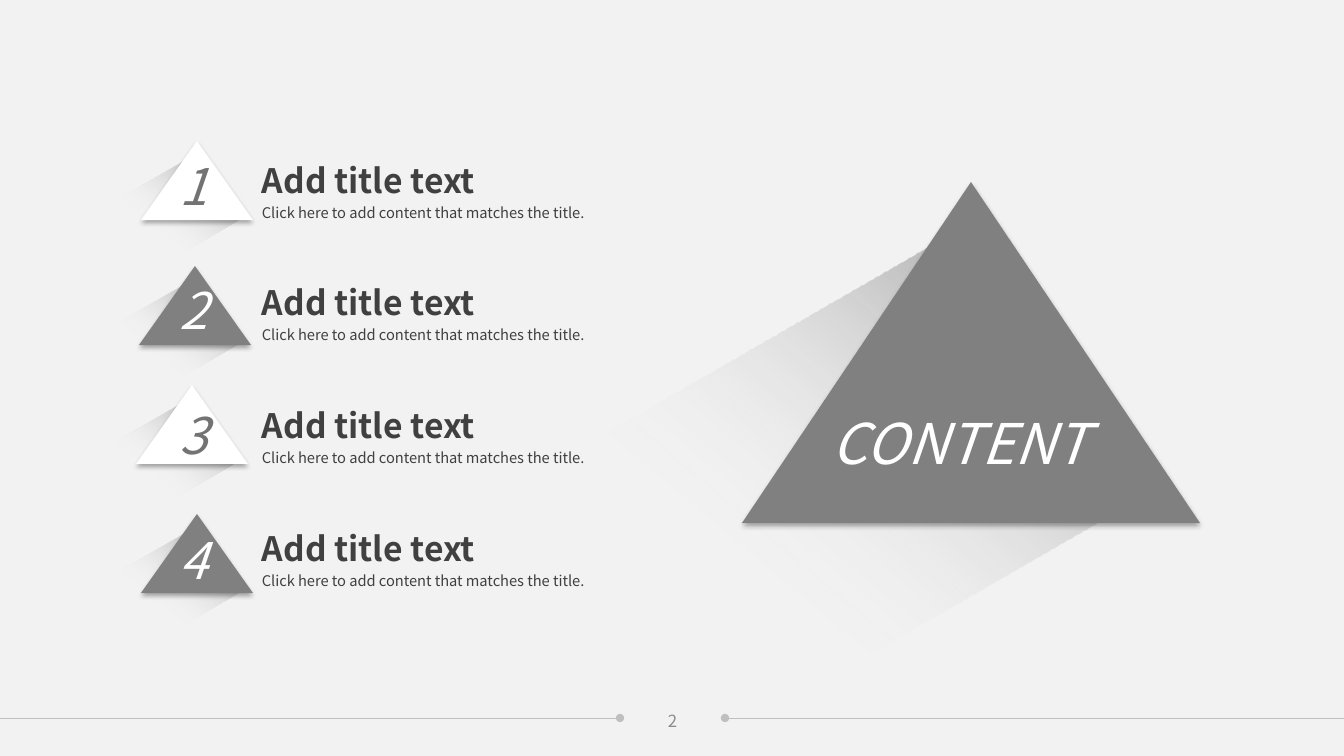
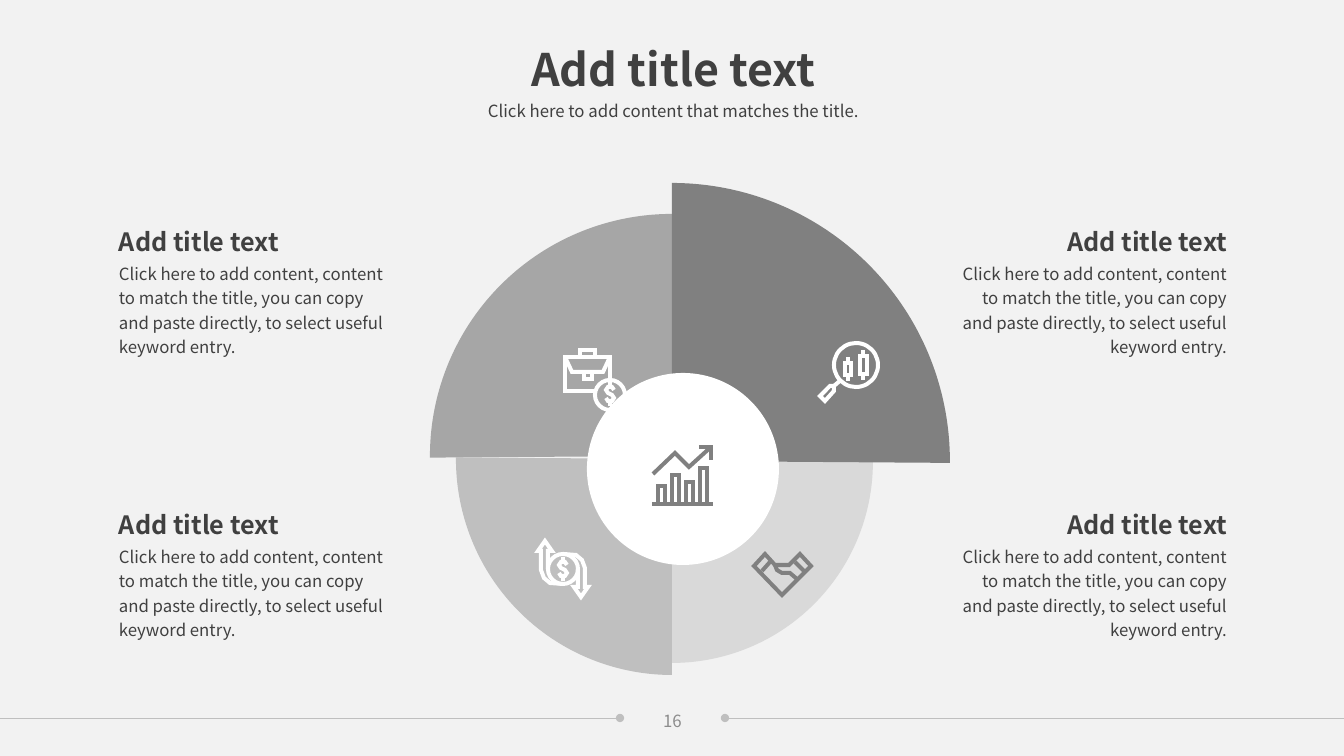
from lxml.etree import SubElement
from pptx import Presentation
from pptx.dml.color import RGBColor
from pptx.enum.shapes import MSO_CONNECTOR as Connector, MSO_SHAPE as Preset
from pptx.enum.text import MSO_ANCHOR as Anchor, MSO_AUTO_SIZE as AutoSize, PP_ALIGN as Align
from pptx.oxml.ns import qn
from pptx.util import Emu, Pt

SCALE = 914400 / 100.8
WIDTH, HEIGHT = 1344, 756
FONT = "Noto Sans CJK SC"
INK, GRAY, WHITE, PAPER = "404040", "808080", "FFFFFF", "F2F2F2"
RULE, PAGE_INK, NUMBER_INK = "BFBFBF", "8C8C8C", "737373"

TITLE = "Add title text"
CAPTION = "Click here to add content that matches the title."
BODY = ("Click here to add content, content to match the title, you can copy "
        "and paste directly, to select useful keyword entry.")

FOOTER_RULES = [(0, 620), (WIDTH, 725)]

AGENDA = [
    ("1", TITLE, CAPTION, (141, 141), WHITE, NUMBER_INK),
    ("2", TITLE, CAPTION, (139, 266), GRAY, WHITE),
    ("3", TITLE, CAPTION, (136, 385), WHITE, NUMBER_INK),
    ("4", TITLE, CAPTION, (141, 514), GRAY, WHITE),
]

QUADRANTS = [
    (462, 201, 359.6, 90, "D9D9D9"),
    (459, 216, 90, 180.4, "BFBFBF"),
    (456, 242, 179.6, 270, "A6A6A6"),
    (461, 278, 270, 0.4, GRAY),
]

NOTES = [
    (109, 215, Align.LEFT, TITLE, BODY),
    (109, 498, Align.LEFT, TITLE, BODY),
    (952, 215, Align.RIGHT, TITLE, BODY),
    (952, 498, Align.RIGHT, TITLE, BODY),
]


def dollar(x, y):
    curve = [(4, -4), (2, -7), (-2, -7), (-4, -4), (-2, -1),
             (2, 1), (4, 4), (2, 7), (-2, 7), (-4, 4)]
    strokes = [curve, [(0, -12), (0, -7)], [(0, 7), (0, 12)]]
    return [[(x + dx, y + dy) for dx, dy in stroke] for stroke in strokes]


def box(left, top, right, bottom):
    return [(left, top), (right, top), (right, bottom), (left, bottom), (left, top)]


def candle(left, top, right, bottom):
    middle = (left + right) // 2
    return [box(left, top, right, bottom),
            [(middle, top - 6), (middle, top)],
            [(middle, bottom), (middle, bottom + 6)]]


UP_ARROW = [(548, 569), (548, 551), (552, 551), (545, 541), (538, 551), (541, 551),
            (541, 570), (544, 578), (550, 583), (563, 584)]
DOWN_ARROW = [(2 * 563 - x, 2 * 569 - y) for x, y in UP_ARROW]
BAR_TOPS = [486, 475, 482, 468]

ICONS = {
    "briefcase": (WHITE, [(610, 395, 15)], [
        [(594, 391), (565, 391), (565, 357), (610, 357), (610, 378)],
        [(580, 357), (580, 350), (595, 350), (595, 357)],
        [(565, 357), (572, 372), (603, 372), (610, 357)],
        [(584, 372), (584, 379), (592, 379), (592, 372)],
        *dollar(610, 394)]),
    "exchange": (WHITE, [(563, 569, 15)], [UP_ARROW, DOWN_ARROW, *dollar(563, 569)]),
    "magnifier": (WHITE, [(856, 365, 22)], [
        [(830, 386), (820, 396), (825, 401), (834, 391), (834, 386), (830, 386)],
        [(834, 386), (841, 380)],
        *candle(845, 363, 851, 375),
        *candle(860, 356, 867, 374)]),
    "handshake": (GRAY, [], [
        [(765, 554), (754, 566), (782, 595), (811, 566), (800, 554),
         (789, 565), (775, 565), (765, 554)],
        [(770, 562), (762, 571)],
        [(795, 562), (804, 571)],
        [(775, 565), (777, 570), (782, 573), (790, 573), (797, 579)]]),
    "growth": (GRAY, [], [
        [(652, 504), (713, 504)],
        *[[(658 + 14 * i, 504), (658 + 14 * i, top), (665 + 14 * i, top), (665 + 14 * i, 504)]
          for i, top in enumerate(BAR_TOPS)],
        [(653, 474), (675, 453), (689, 467), (711, 447)],
        [(699, 447), (711, 447), (711, 460)]]),
}


def px(value):
    return Emu(round(value * SCALE))


def color(value):
    return RGBColor.from_string(value)


def write(shape, text, size, ink=INK, align=Align.LEFT, bold=False, italic=False,
          spacing=1.0, anchor=Anchor.TOP):
    frame = shape.text_frame
    frame.word_wrap = True
    frame.auto_size = AutoSize.NONE
    frame.vertical_anchor = anchor
    paragraph = frame.paragraphs[0]
    paragraph.alignment = align
    paragraph.line_spacing = spacing
    run = paragraph.add_run()
    run.text = text
    font = run.font
    font.name, font.size, font.bold, font.italic = FONT, Pt(size), bold, italic
    font.color.rgb = color(ink)


def add_text(slide, frame, text, size, **style):
    write(slide.shapes.add_textbox(*map(px, frame)), text, size, **style)


def set_title(slide, frame, text, size, **style):
    title = slide.shapes.title
    title.left, title.top, title.width, title.height = map(px, frame)
    write(title, text, size, **style)
    slide.shapes.element.append(title.element)


def add_shape(shapes, preset, frame, fill=None):
    shape = shapes.add_shape(preset, *map(px, frame))
    shape.shadow.inherit = False
    shape.line.fill.background()
    if fill:
        shape.fill.solid()
        shape.fill.fore_color.rgb = color(fill)
    return shape


def add_long_shadow(slide, frame):
    shape = add_shape(slide.shapes, Preset.RECTANGLE, frame)
    shape.rotation = 330
    shape.fill.gradient()
    shape.fill.gradient_angle = 200
    for stop, (position, tone) in zip(shape.fill.gradient_stops, [(0, GRAY), (0.64, PAPER)]):
        stop.position = position
        stop.color.rgb = color(tone)
    faded = list(shape.element.spPr.iter(qn("a:srgbClr")))[-1]
    SubElement(faded, qn("a:alpha"), val="0")


def add_triangle(slide, frame, fill):
    shape = add_shape(slide.shapes, Preset.ISOSCELES_TRIANGLE, frame, fill)
    effects = shape.element.spPr.find(qn("a:effectLst"))
    shadow = SubElement(effects, qn("a:outerShdw"), blurRad=str(Pt(3.5)), dist=str(Pt(2.2)),
                        dir="5400000", algn="t", rotWithShape="0")
    black = SubElement(shadow, qn("a:srgbClr"), val="000000")
    SubElement(black, qn("a:alpha"), val="32000")


def add_icon(slide, ink, circles, strokes):
    group = slide.shapes.add_group_shape()
    builder = group.shapes.build_freeform(*strokes[0][0], scale=SCALE)
    for stroke in strokes:
        builder.move_to(*stroke[0])
        builder.add_line_segments(stroke[1:], close=stroke[0] == stroke[-1])
    parts = [builder.convert_to_shape()]
    for x, y, radius in circles:
        parts.append(add_shape(group.shapes, Preset.OVAL,
                               (x - radius, y - radius, 2 * radius, 2 * radius)))
    for part in parts:
        part.shadow.inherit = False
        part.fill.background()
        part.line.color.rgb = color(ink)
        part.line.width = px(4)
        SubElement(part.element.spPr.find(qn("a:ln")), qn("a:miter"), lim="800000")


def add_footer_rules(slide, layout):
    lines = []
    for start, end in FOOTER_RULES:
        line = slide.shapes.add_connector(Connector.STRAIGHT, px(start), px(718), px(end), px(718))
        line.line.color.rgb = color(RULE)
        line.line.width = Pt(0.5)
        SubElement(line.element.spPr.find(qn("a:ln")), qn("a:tailEnd"), type="oval")
        SubElement(line.element.spPr, qn("a:effectLst"))
        lines.append(line)
    for line in lines:
        layout.shapes.element.append(line.element)


def add_page_number(slide, number):
    add_text(slide, (620, 701, 105, 40), number, 12, ink=PAGE_INK,
             align=Align.CENTER, anchor=Anchor.MIDDLE)


def build_agenda(slide):
    for i, (number, heading, caption, (left, top), fill, ink) in enumerate(AGENDA):
        add_long_shadow(slide, (left - 20, top + 32, 106, 78))
        add_triangle(slide, (left, top, 112, 79), fill)
        add_text(slide, (168, 150 + 374 * i // 3, 51, 72), number, 36, ink=ink,
                 align=Align.CENTER, italic=True)
        text_top = 155 + 368 * i // 3
        add_text(slide, (252, text_top, 247, 50), heading, 24, bold=True)
        add_text(slide, (252, text_top + 41, 419, 29), caption, 10.5, spacing=1.14)
    add_long_shadow(slide, (569, 327, 528, 323))
    add_triangle(slide, (742, 182, 458, 341), GRAY)
    set_title(slide, (813, 403, 294, 78), "CONTENT", 40, ink=WHITE,
              align=Align.CENTER, italic=True)
    add_page_number(slide, "2")


def build_wheel(slide):
    set_title(slide, (512, 37, 323, 65), TITLE, 32, align=Align.CENTER, bold=True)
    add_text(slide, (435, 93, 477, 31), CAPTION, 12, align=Align.CENTER, spacing=1.14)
    for left, top, align, heading, body in NOTES:
        add_text(slide, (left, top, 285, 43), heading, 18, align=align, bold=True, spacing=1.2)
        add_text(slide, (left, top + 40, 285, 106), body, 12, align=align, spacing=1.2)
    for middle, radius, start, end, fill in QUADRANTS:
        frame = (WIDTH // 2 - radius, middle - radius, 2 * radius, 2 * radius)
        pie = add_shape(slide.shapes, Preset.PIE, frame, fill)
        pie.adjustments[0] = start * 0.6
        pie.adjustments[1] = end * 0.6
    add_shape(slide.shapes, Preset.OVAL, (587, 373, 192, 192), WHITE)
    for icon in ICONS.values():
        add_icon(slide, *icon)
    add_page_number(slide, "16")


def main():
    presentation = Presentation()
    presentation.slide_width, presentation.slide_height = px(WIDTH), px(HEIGHT)
    background = presentation.slide_master.background.fill
    background.solid()
    background.fore_color.rgb = color(PAPER)
    layout = presentation.slide_layouts[5]
    for placeholder in list(layout.placeholders)[1:]:
        layout.shapes.element.remove(placeholder.element)
    agenda = presentation.slides.add_slide(layout)
    add_footer_rules(agenda, layout)
    build_agenda(agenda)
    build_wheel(presentation.slides.add_slide(layout))
    presentation.save("out.pptx")


if __name__ == "__main__":
    main()
